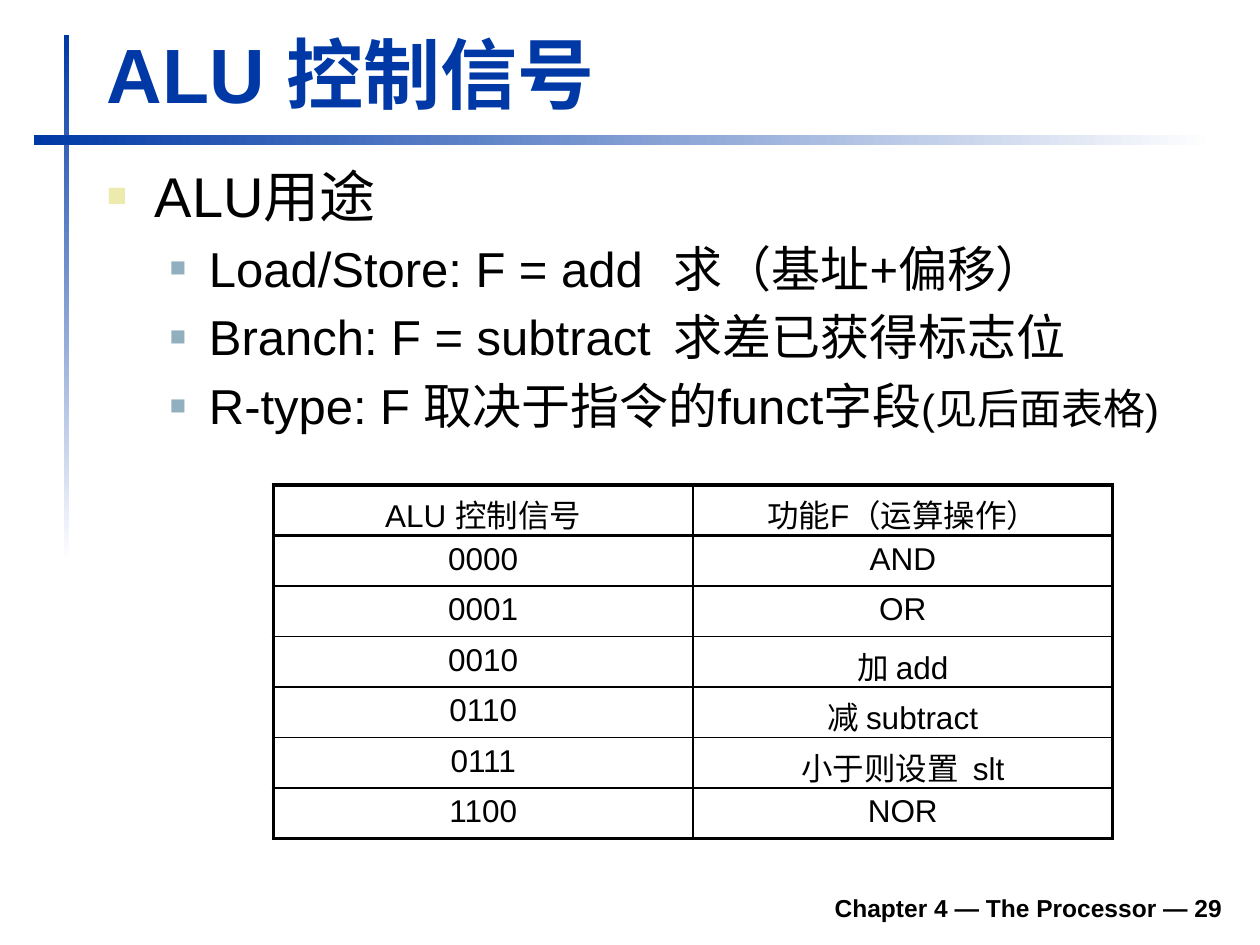
import pptx
import pptx.util
import pptx.dml.color
import pptx.enum.shapes
import pptx.enum.text
import pptx.oxml.ns
from lxml import etree

Inches = pptx.util.Inches
Pt = pptx.util.Pt
ALIGN = pptx.enum.text.PP_ALIGN
ANCHOR = pptx.enum.text.MSO_ANCHOR
COLORS = {"blue": "0039A6", "white": "FFFFFF", "black": "000000",
          "sand": "ECEAAC", "steel": "91AFBF"}

# Bullet level: indent and hanging in inches, bullet size in percent
LEVELS = [
    {"indent": 0.38, "hang": 0.38, "color": "sand", "percent": 60},
    {"indent": 0.81, "hang": 0.31, "color": "steel", "percent": 55},
]
BULLETS = [
    (0, [("ALU用途", 32)]),
    (1, [("Load/Store: F = add\t求（基址+偏移）", 28)]),
    (1, [("Branch: F = subtract\t求差已获得标志位", 28)]),
    (1, [("R-type: F 取决于指令的funct字段", 28), ("(见后面表格)", 24)]),
]
ALU_ROWS = [
    ("ALU 控制信号", "功能F（运算操作）"),
    ("0000", "AND"),
    ("0001", "OR"),
    ("0010", "加 add"),
    ("0110", "减 subtract"),
    ("0111", "小于则设置  slt"),
    ("1100", "NOR"),
]


def rgb(name):
    return pptx.dml.color.RGBColor.from_string(COLORS[name])


def add_element(parent, tag, **attributes):
    element = etree.SubElement(parent, pptx.oxml.ns.qn(tag))
    for key, value in attributes.items():
        element.set(key, str(value))
    return element


def add_span(para, text, size, color="black", bold=False):
    span = para.add_run()
    span.text = text
    formats = {"name": "Arial", "size": Pt(size), "bold": bold}
    for key, value in formats.items():
        setattr(span.font, key, value)
    span.font.color.rgb = rgb(color)


def add_box(page, place, anchor=ANCHOR.TOP):
    box = page.shapes.add_textbox(*map(Inches, place))
    formats = {"word_wrap": True, "vertical_anchor": anchor}
    for key, value in formats.items():
        setattr(box.text_frame, key, value)
    return box.text_frame


def add_gradient_bar(page, place, angle):
    bar = page.shapes.add_shape(pptx.enum.shapes.MSO_SHAPE.RECTANGLE,
                                *map(Inches, place))
    bar.shadow.inherit = False
    bar.line.fill.background()
    bar.fill.gradient()
    bar.fill.gradient_angle = angle
    for stop, color in zip(bar.fill.gradient_stops, ("blue", "white")):
        stop.color.rgb = rgb(color)


def add_line_of_text(page, place, text, size, color, align):
    para = add_box(page, place, ANCHOR.BOTTOM).paragraphs[0]
    para.alignment = align
    add_span(para, text, size, color, bold=True)


def add_bullets(page, place, items):
    frame = add_box(page, place)
    for index, (level, spans) in enumerate(items):
        para = frame.add_paragraph() if index else frame.paragraphs[0]
        style = LEVELS[level]
        para.level = level
        if index:
            para.space_before = Pt(0.2 * spans[0][1])
        properties = para._p.get_or_add_pPr()
        properties.set("marL", str(Inches(style["indent"])))
        properties.set("indent", str(-Inches(style["hang"])))
        bullet_color = add_element(properties, "a:buClr")
        add_element(bullet_color, "a:srgbClr", val=COLORS[style["color"]])
        add_element(properties, "a:buSzPct", val=style["percent"] * 1000)
        add_element(properties, "a:buFont", typeface="Arial")
        add_element(properties, "a:buChar", char="■")
        for text, size in spans:
            add_span(para, text, size)


def set_borders(cell, widths):
    properties = cell._tc.get_or_add_tcPr()
    for side, width in widths.items():
        line = add_element(properties, "a:ln" + side, w=int(Pt(width)))
        fill = add_element(line, "a:solidFill")
        add_element(fill, "a:srgbClr", val=COLORS["black"])


def add_alu_table(page, left, top, column_width, row_height, rows):
    last_row, last_column = len(rows) - 1, len(rows[0]) - 1
    table = page.shapes.add_table(
        len(rows), len(rows[0]), Inches(left), Inches(top),
        Inches(column_width * len(rows[0])),
        Inches(row_height * len(rows))).table
    table.first_row = table.horz_banding = False
    for r, texts in enumerate(rows):
        table.rows[r].height = Inches(row_height)
        for c, text in enumerate(texts):
            cell = table.cell(r, c)
            para = cell.text_frame.paragraphs[0]
            para.alignment = ALIGN.CENTER
            add_span(para, text, 18)
            # Thick frame, medium rule under the header, thin grid
            set_borders(cell, {
                "L": 2.25 if c == 0 else 1,
                "R": 2.25 if c == last_column else 1,
                "T": {0: 2.25, 1: 1.5}.get(r, 1),
                "B": {0: 1.5, last_row: 2.25}.get(r, 1),
            })
            cell.fill.background()


def main():
    deck = pptx.Presentation()
    deck.slide_width, deck.slide_height = Inches(10), Inches(7.5)
    page = deck.slides.add_slide(deck.slide_layouts[6])

    # Crossed bars
    add_gradient_bar(page, (0.51, 0.28, 0.04, 4.17), 270)
    add_gradient_bar(page, (0.27, 1.07, 9.37, 0.08), 0)

    # Footer and title
    add_line_of_text(page, (1.85, 6.98, 7.95, 0.39),
                     "Chapter 4 — The Processor — 29", 14, "black", ALIGN.RIGHT)
    add_line_of_text(page, (0.75, 0.16, 9.03, 0.83),
                     "ALU 控制信号", 44, "blue", ALIGN.LEFT)

    # Uses of the ALU and its control codes
    add_bullets(page, (0.75, 1.23, 9.05, 2.6), BULLETS)
    add_alu_table(page, 2.17, 3.85, 3.33, 0.4, ALU_ROWS)

    deck.save("out.pptx")


if __name__ == "__main__":
    main()
